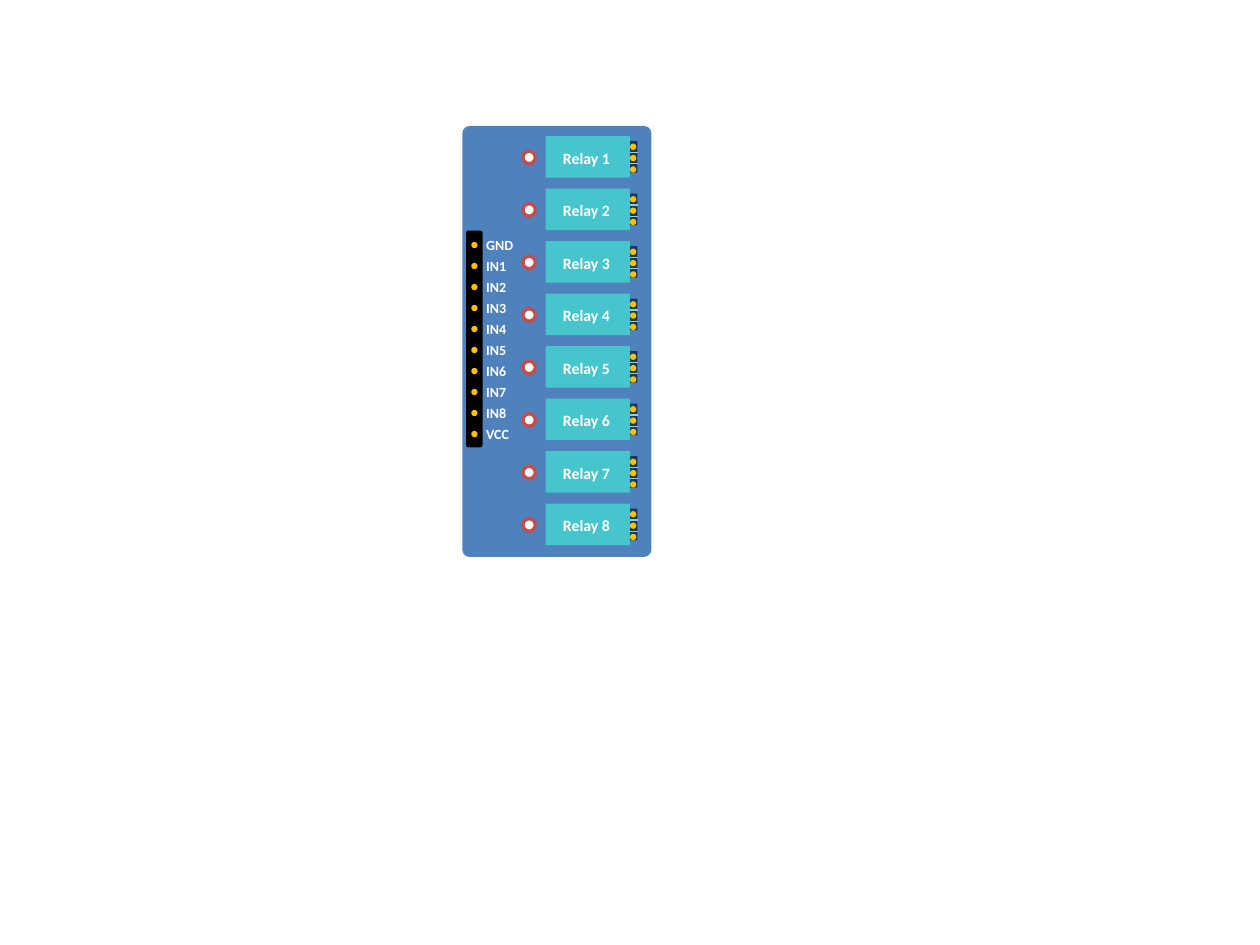
from dataclasses import dataclass

from pptx import Presentation
from pptx.dml.color import RGBColor
from pptx.enum.shapes import MSO_AUTO_SHAPE_TYPE as Preset
from pptx.enum.shapes import MSO_CONNECTOR_TYPE as Connector
from pptx.enum.text import MSO_AUTO_SIZE as AutoSize
from pptx.oxml.ns import qn
from pptx.util import Inches, Pt


@dataclass(frozen=True)
class Theme:
    font: str = "Calibri"
    pin_size: float = 8
    relay_size: float = 9
    led_line: float = 2
    divider_line: float = 0.75
    board: str = "4F81BD"
    header: str = "000000"
    contact: str = "FFC000"
    label: str = "FFFFFF"
    led: str = "FFFFFF"
    led_ring: str = "C0504D"
    terminal: str = "17375E"
    divider: str = "93CDDD"
    relay: str = "46C6CC"


PIN_NAMES = ["GND", *(f"IN{number}" for number in range(1, 9)), "VCC"]
PIN_TOP, PIN_PITCH = 1.83, 1 / 6
RELAY_COUNT, RELAY_TOP, RELAY_PITCH = 8, 1.08, 5 / 12
CONTACT_COUNT, CONTACT_PITCH = 3, 0.09
CONTACT_SIZE = 0.05


class BoardDrawing:
    def __init__(self, slide, theme):
        self.theme = theme
        self.slide = slide
        self.shapes = slide.shapes.add_group_shape().shapes

    def block(self, preset, left, top, width, height, fill,
              corner=None, line=None, line_width=None):
        shape = self.shapes.add_shape(
            preset, Inches(left), Inches(top), Inches(width), Inches(height))
        shape.shadow.inherit = False
        shape.fill.solid()
        shape.fill.fore_color.rgb = RGBColor.from_string(fill)
        if corner is not None:
            shape.adjustments[0] = corner
        if line:
            shape.line.color.rgb = RGBColor.from_string(line)
            shape.line.width = Pt(line_width)
        else:
            shape.line.fill.background()

    def contact(self, left, top):
        self.block(Preset.OVAL, left, top, CONTACT_SIZE, CONTACT_SIZE,
                   self.theme.contact)

    def led(self, left, top):
        self.block(Preset.OVAL, left, top, 0.1, 0.1, self.theme.led,
                   line=self.theme.led_ring, line_width=self.theme.led_line)

    def divider(self, left, top, width):
        connector = self.shapes.add_connector(
            Connector.STRAIGHT, Inches(left), Inches(top),
            Inches(left + width), Inches(top))
        connector.line.color.rgb = RGBColor.from_string(self.theme.divider)
        connector.line.width = Pt(self.theme.divider_line)
        properties = connector._element.spPr
        properties.append(properties.makeelement(qn("a:effectLst"), {}))

    def label(self, text, left, top, width, height, size):
        box = self.shapes.add_textbox(
            Inches(left), Inches(top), Inches(width), Inches(height))
        frame = box.text_frame
        frame.word_wrap = True
        frame.auto_size = AutoSize.SHAPE_TO_FIT_TEXT
        frame.margin_right = 0
        run = frame.paragraphs[0].add_run()
        run.text = text
        run.font.name = self.theme.font
        run.font.size = Pt(size)
        run.font.bold = True
        run.font.color.rgb = RGBColor.from_string(self.theme.label)

    def pin_header(self):
        self.block(Preset.ROUNDED_RECTANGLE, 3.7, PIN_TOP, 0.13, 1.72,
                   self.theme.header, corner=0.135)
        tops = [PIN_TOP + index * PIN_PITCH for index in range(len(PIN_NAMES))]
        for top in tops:
            self.contact(3.74, top + 0.09)
        for name, top in zip(PIN_NAMES, tops):
            self.label(name, 3.76, top, 0.42, 0.24, self.theme.pin_size)

    def relay(self, top):
        """Draw a relay body with its three-way screw terminal."""
        self.block(Preset.RECTANGLE, 4.98, top + 0.04, 0.08, 0.25,
                   self.theme.terminal)
        for index in range(1, CONTACT_COUNT):
            self.divider(4.97, top + 0.04 + index * CONTACT_PITCH, 0.09)
        for index in range(CONTACT_COUNT):
            self.contact(5, top + 0.06 + index * CONTACT_PITCH)
        self.block(Preset.RECTANGLE, 4.33, top, 0.67, 0.33, self.theme.relay)

    def relay_bank(self):
        tops = [RELAY_TOP + index * RELAY_PITCH for index in range(RELAY_COUNT)]
        for top in tops:
            self.led(4.15, top + 0.12)
        for top in tops:
            self.relay(top)
        for number, top in enumerate(tops, start=1):
            self.label(f"Relay {number}", 4.37, top + 0.05, 0.6, 0.25,
                       self.theme.relay_size)


def main():
    presentation = Presentation()
    presentation.slide_width = Inches(10)
    presentation.slide_height = Inches(7.5)
    slide = presentation.slides.add_slide(presentation.slide_layouts[6])
    theme = Theme()
    drawing = BoardDrawing(slide, theme)
    drawing.block(Preset.ROUNDED_RECTANGLE, 3.67, 1, 1.5, 3.42, theme.board,
                  corner=0.038)
    drawing.pin_header()
    drawing.relay_bank()
    presentation.save("out.pptx")


if __name__ == "__main__":
    main()
